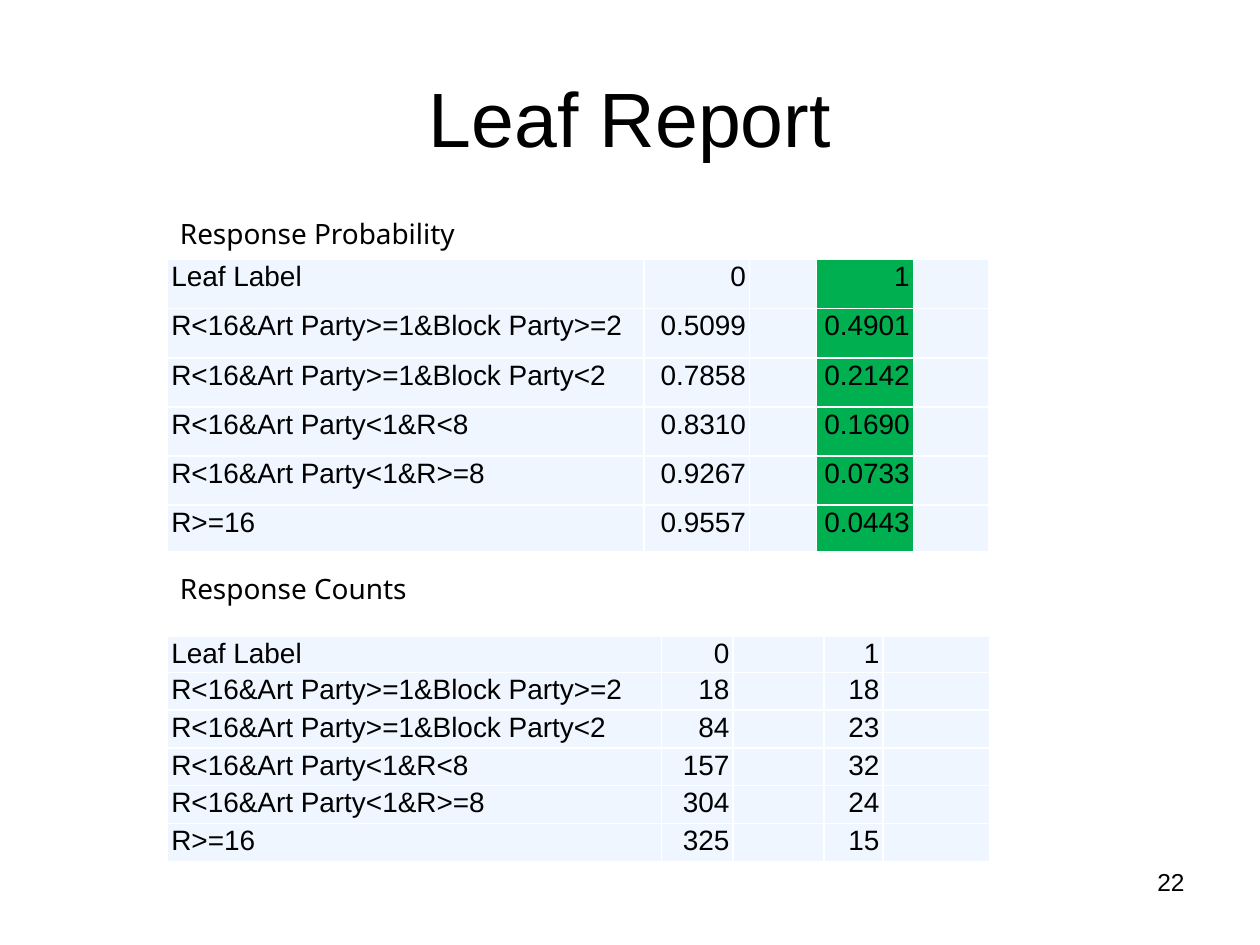
import pptx
import pptx.dml.color
import pptx.enum.text
import pptx.oxml
import pptx.oxml.ns
import pptx.util
from lxml import etree

Inches = pptx.util.Inches
ALIGN = pptx.enum.text.PP_ALIGN
ANCHOR = pptx.enum.text.MSO_ANCHOR
qn = pptx.oxml.ns.qn

THEME = {
    "text": "000000", "cell": "EFF6FF", "highlight": "00B050", "border": "FFFFFF",
    "font": "Arial", "label_font": "Noto Sans",
    "title": 44, "body": 16, "number": 14,
}


def set_text(tf, text, size, font=THEME["font"], align=ALIGN.LEFT):
    """Fill a text frame with one formatted paragraph and return it."""
    tf.text = text
    p = tf.paragraphs[0]
    p.alignment = align
    for r in p.runs:
        r.font.size = pptx.util.Pt(size)
        r.font.name = font
        r.font.color.rgb = pptx.dml.color.RGBColor.from_string(THEME["text"])
    return p


def style_cell(cell, color):
    """Give a cell its fill, narrow margins and thin borders."""
    cell.margin_left = cell.margin_right = Inches(0.03)
    cell.margin_top = cell.margin_bottom = 0
    tcPr = cell._tc.get_or_add_tcPr()
    for side in ("lnL", "lnR", "lnT", "lnB"):
        ln = etree.SubElement(tcPr, qn(f"a:{side}"), w="12700")
        fill = etree.SubElement(ln, qn("a:solidFill"))
        etree.SubElement(fill, qn("a:srgbClr"), val=THEME["border"])
    cell.fill.solid()
    cell.fill.fore_color.rgb = pptx.dml.color.RGBColor.from_string(color)


prs = pptx.Presentation()
prs.slide_width, prs.slide_height = Inches(10), Inches(7.5)
s = prs.slides.add_slide(prs.slide_layouts[5])

title = s.shapes.title
title.left, title.top, title.width, title.height = map(Inches, (0.5, 0.3, 9, 1.25))
title.text_frame.vertical_anchor = ANCHOR.MIDDLE
set_text(title.text_frame, "Leaf Report", THEME["title"], align=ALIGN.CENTER)

number = s.shapes.add_textbox(Inches(7.17), Inches(6.83), Inches(2.33), Inches(0.52))
number.text_frame.word_wrap = True
set_text(number.text_frame, "22", THEME["number"], align=ALIGN.RIGHT)

leaves = [
    "Leaf Label",
    "R<16&Art Party>=1&Block Party>=2",
    "R<16&Art Party>=1&Block Party<2",
    "R<16&Art Party<1&R<8",
    "R<16&Art Party<1&R>=8",
    "R>=16",
]
reports = [
    {
        "label": "Response Probability", "label_top": 1.7, "top": 2.06,
        "cols": [3.78, 0.84, 0.53, 0.77, 0.6], "rows": [0.39] * 5 + [0.37],
        "zero": ["0", "0.5099", "0.7858", "0.8310", "0.9267", "0.9557"],
        "one": ["1", "0.4901", "0.2142", "0.1690", "0.0733", "0.0443"],
        "one_fill": THEME["highlight"],
    },
    {
        "label": "Response Counts", "label_top": 4.52, "top": 5.05,
        "cols": [3.92, 0.57, 0.72, 0.47, 0.85], "rows": [0.26] + [0.3] * 5,
        "zero": ["0", "18", "84", "157", "304", "325"],
        "one": ["1", "18", "23", "32", "24", "15"],
        "one_fill": THEME["cell"],
    },
]

for report in reports:
    cols, rows = report["cols"], report["rows"]
    frame = s.shapes.add_table(len(rows), len(cols), Inches(1.33), Inches(report["top"]),
                               Inches(sum(cols)), Inches(sum(rows)))
    table = frame.table
    table.first_row = table.horz_banding = False
    for column, width in zip(table.columns, cols):
        column.width = Inches(width)
    for row, height in zip(table.rows, rows):
        row.height = Inches(height)

    for i, (leaf, zero, one) in enumerate(zip(leaves, report["zero"], report["one"])):
        for j, text in enumerate((leaf, zero, "", one, "")):
            cell = table.cell(i, j)
            style_cell(cell, report["one_fill"] if j == 3 else THEME["cell"])
            p = set_text(cell.text_frame, text, THEME["body"],
                         align=ALIGN.RIGHT if j else ALIGN.LEFT)
            p.line_spacing = 1.07
            if not text:
                # An empty cell keeps the body size so that its row stays low
                etree.SubElement(p._p, qn("a:endParaRPr"), sz=str(THEME["body"] * 100))

    label = s.shapes.add_textbox(Inches(1.33), Inches(report["label_top"]),
                                 Inches(5.33), Inches(0.67))
    tf = label.text_frame
    tf.word_wrap = True
    tf.margin_top = Inches(0.02)
    set_text(tf, report["label"], THEME["body"], THEME["label_font"])

prs.save("out.pptx")
